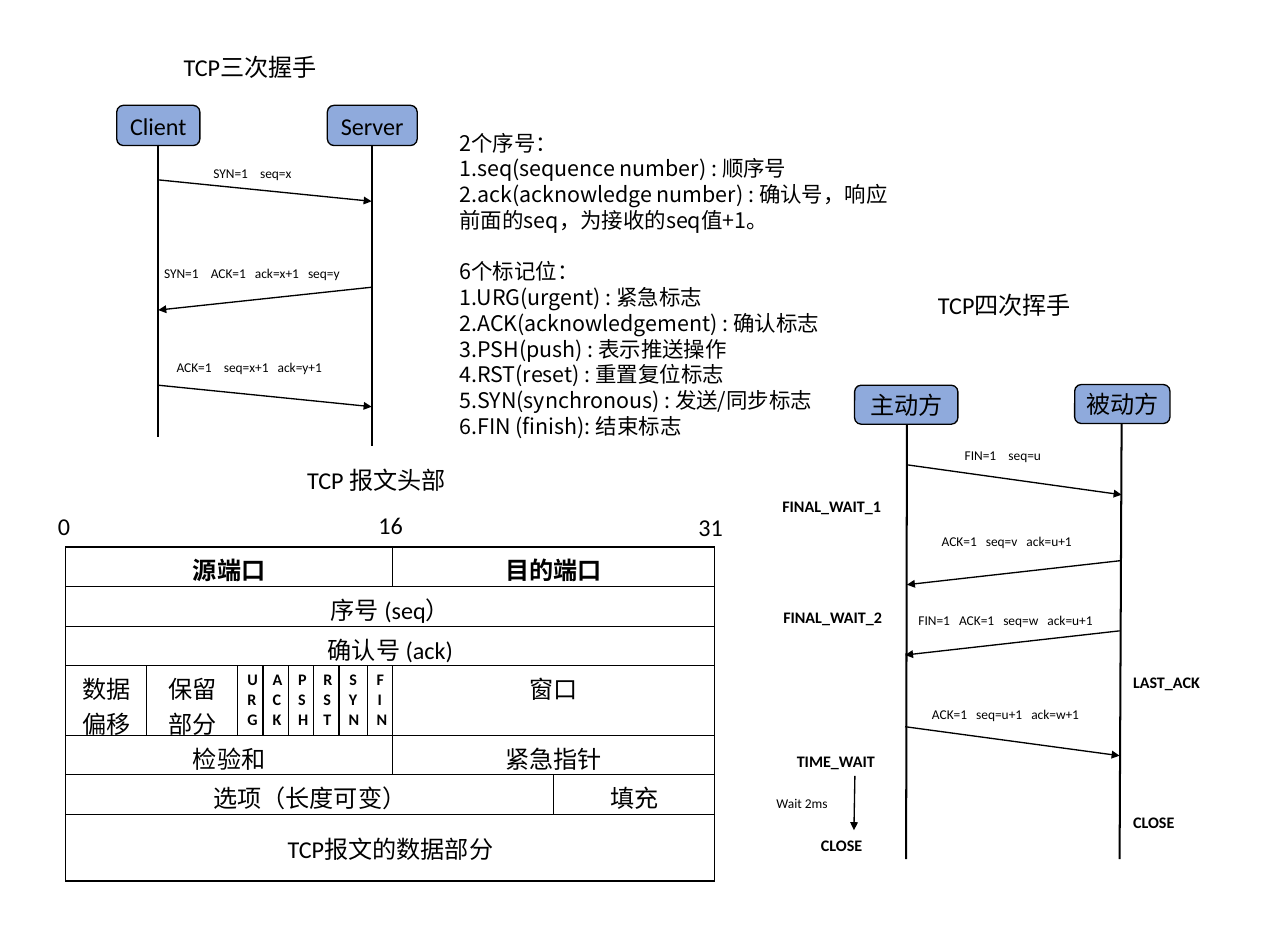
import dataclasses
import lxml.etree
import pptx
import pptx.dml.color
import pptx.enum.shapes
import pptx.enum.text
import pptx.oxml.ns
import pptx.util

Pt = pptx.util.Pt
ALIGN = pptx.enum.text.PP_ALIGN
ANCHOR = pptx.enum.text.MSO_ANCHOR
qn = pptx.oxml.ns.qn


@dataclasses.dataclass(frozen=True)
class Theme:
    ink: str = "000000"
    fill: str = "8FAADC"
    font: str = "Calibri"
    cjk: str = "Noto Sans CJK SC"
    head: int = 18
    body: int = 16
    state: int = 12
    label: int = 10
    thin: float = 1
    thick: float = 1.5


THEME = Theme()


def rgb(code):
    return pptx.dml.color.RGBColor.from_string(code)


def write(para, text, size=THEME.head, bold=False, font=THEME.font,
          align=ALIGN.LEFT, before=0, gap=0):
    """Add one formatted run; gap widens it by letter spacing."""
    para.alignment = align
    para.space_before = Pt(before)
    run = para.add_run()
    run.text = text
    run.font.name, run.font.size, run.font.bold = font, Pt(size), bold
    run.font.color.rgb = rgb(THEME.ink)
    props = run.font._element
    if gap:
        props.set("spc", str(round(gap * 100)))
    if font == THEME.cjk:
        props.find(qn("a:latin")).addnext(
            props.makeelement(qn("a:ea"), {"typeface": font}))


class Sheet:
    def __init__(self, deck, theme):
        self.theme = theme
        self.slide = deck.slides.add_slide(deck.slide_layouts[5])
        self.shapes = self.slide.shapes

    def title(self, text, x, y, w, h):
        box = self.shapes.title
        box.left, box.top, box.width, box.height = map(Pt, (x, y, w, h))
        box.text_frame.vertical_anchor = ANCHOR.TOP
        write(box.text_frame.paragraphs[0], text)

    def frame(self, x, y, w, h):
        frame = self.shapes.add_textbox(*map(Pt, (x, y, w, h))).text_frame
        frame.word_wrap = True
        frame.auto_size = pptx.enum.text.MSO_AUTO_SIZE.SHAPE_TO_FIT_TEXT
        return frame

    def text(self, text, x, y, w, h=29, **form):
        write(self.frame(x, y, w, h).paragraphs[0], text, **form)

    def message(self, text, x, y, w, gaps):
        """Write header fields with a wide space between them."""
        para = self.frame(x, y, w, 19.4).paragraphs[0]
        for i, field in enumerate(text.split()):
            if i:
                write(para, " ", size=self.theme.label, gap=gaps[min(i, 2) - 1])
            write(para, field, size=self.theme.label)

    def notes(self, groups, x, y, w, h):
        frame = self.frame(x, y, w, h)
        para = frame.paragraphs[0]
        for g, lines in enumerate(groups):
            for i, line in enumerate(lines):
                if g or i:
                    para = frame.add_paragraph()
                write(para, line, size=self.theme.body, font=self.theme.cjk,
                      before=19.2 if g and not i else 0)

    def actor(self, name, x, y, w, h):
        box = self.shapes.add_shape(
            pptx.enum.shapes.MSO_SHAPE.ROUNDED_RECTANGLE, *map(Pt, (x, y, w, h)))
        box.shadow.inherit = False
        box.fill.solid()
        box.fill.fore_color.rgb = rgb(self.theme.fill)
        box.line.color.rgb = rgb(self.theme.ink)
        box.line.width = Pt(self.theme.thin)
        box.text_frame.vertical_anchor = ANCHOR.MIDDLE
        write(box.text_frame.paragraphs[0], name, align=ALIGN.CENTER)

    def line(self, *ends, arrow=False):
        link = self.shapes.add_connector(
            pptx.enum.shapes.MSO_CONNECTOR.STRAIGHT, *map(Pt, ends))
        link.line.color.rgb = rgb(self.theme.ink)
        link.line.width = Pt(self.theme.thin if arrow else self.theme.thick)
        if arrow:
            lxml.etree.SubElement(link.line._get_or_add_ln(), qn("a:tailEnd"),
                                  type="triangle")
        lxml.etree.SubElement(link._element.spPr, qn("a:effectLst"))

    def border(self, cell):
        props = cell._tc.get_or_add_tcPr()
        for i, side in enumerate(("lnL", "lnR", "lnT", "lnB")):
            edge = props.makeelement(qn("a:" + side),
                                     {"w": str(Pt(self.theme.thin))})
            fill = lxml.etree.SubElement(edge, qn("a:solidFill"))
            lxml.etree.SubElement(fill, qn("a:srgbClr"), val=self.theme.ink)
            props.insert(i, edge)

    def table(self, rows, cols, highs, x, y):
        """Each row lists (text, span) pairs."""
        grid = self.shapes.add_table(
            len(highs), len(cols), *map(Pt, (x, y, sum(cols), sum(highs)))).table
        for col, wide in zip(grid.columns, cols):
            col.width = Pt(wide)
        for row, high in zip(grid.rows, highs):
            row.height = Pt(high)
        for cell in grid.iter_cells():
            cell.fill.background()
            self.border(cell)
        for r, row in enumerate(rows):
            c = 0
            for text, span in row:
                cell = grid.cell(r, c)
                if span > 1:
                    cell.merge(grid.cell(r, c + span - 1))
                flag = text in FLAGS
                if r == len(rows) - 1:
                    cell.vertical_anchor = ANCHOR.MIDDLE
                write(cell.text_frame.paragraphs[0], text, align=ALIGN.CENTER,
                      size=self.theme.state if flag else self.theme.head,
                      bold=flag or r == 0)
                c += span


FLAGS = ("URG", "ACK", "PSH", "RST", "SYN", "FIN")
FIELDS = [
    [("源端口", 8), ("目的端口", 2)],
    [("序号 (seq）", 10)],
    [("确认号 (ack)", 10)],
    [("数据偏移", 1), ("保留部分", 1), *((f, 1) for f in FLAGS), ("窗口", 2)],
    [("检验和", 8), ("紧急指针", 2)],
    [("选项（长度可变）", 9), ("填充", 1)],
    [("TCP报文的数据部分", 10)],
]
NOTES = [
    ["2个序号：", "1.seq(sequence number) : 顺序号",
     "2.ack(acknowledge number) : 确认号，响应前面的seq，为接收的seq值+1。"],
    ["6个标记位：", "1.URG(urgent) : 紧急标志", "2.ACK(acknowledgement) : 确认标志",
     "3.PSH(push) : 表示推送操作", "4.RST(reset) : 重置复位标志",
     "5.SYN(synchronous) : 发送/同步标志", "6.FIN (finish): 结束标志"],
]
WIDE, EVEN = (6.8, 4.5), (4.5, 4.5)


def main():
    deck = pptx.Presentation()
    deck.slide_width, deck.slide_height = Pt(960), Pt(708.5)
    sheet = Sheet(deck, THEME)

    # Headings
    sheet.title("TCP三次握手", 129.6, 35.3, 135.4, 29)
    sheet.text("TCP四次挥手", 692, 213, 135.4)
    sheet.text("TCP 报文头部", 221.8, 343.4, 137.5)

    # Actors and their lifelines
    for name, x, y, w, h in (("Client", 87, 78.5, 62, 30), ("Server", 244, 78.5, 67, 30),
                             ("主动方", 637, 287, 77, 29), ("被动方", 801, 286.5, 71, 29)):
        sheet.actor(name, x, y, w, h)
    for ends in ((118, 108, 118, 325.5), (277, 108, 277, 332.6),
                 (676, 316, 675.4, 640), (836, 316, 834.5, 640)):
        sheet.line(*ends)

    # Messages: arrow ends, then label place
    for text, ends, place, gaps in (
            ("SYN=1 seq=x", (118, 134, 277, 150), (152, 119.5, 88), WIDE),
            ("SYN=1 ACK=1 ack=x+1 seq=y", (277, 214, 118, 231), (115.2, 193.7, 176), WIDE),
            ("ACK=1 seq=x+1 ack=y+1", (118, 287, 277, 303), (124.5, 264.2, 157), WIDE),
            ("FIN=1 seq=u", (676, 346.3, 836, 368.6), (712, 329.8, 88), WIDE),
            ("ACK=1 seq=v ack=u+1", (836, 417.6, 676, 435.6), (694.8, 393.8, 133), EVEN),
            ("FIN=1 ACK=1 seq=w ack=u+1", (834.5, 470, 674.6, 488), (677.5, 452.2, 168.5), EVEN),
            ("ACK=1 seq=u+1 ack=w+1", (674.6, 541.4, 834.5, 563), (687.6, 522.7, 148.3), EVEN)):
        sheet.line(*ends, arrow=True)
        sheet.message(text, *place, gaps)

    # Closing states and the final wait
    for text, x, y in (("FINAL_WAIT_1", 576, 366.5), ("FINAL_WAIT_2", 576.7, 449.3),
                       ("TIME_WAIT", 586.8, 556.6), ("LAST_ACK", 837.4, 497.5),
                       ("CLOSE", 837.4, 602), ("CLOSE", 604.8, 618.5)):
        sheet.text(text, x, y, 101, 21.6, size=THEME.state, bold=True)
    sheet.line(637.2, 578, 636.5, 618.5, arrow=True)
    sheet.text("Wait 2ms", 571.7, 589, 61, 19.4, size=THEME.label)

    # Segment header with its bit marks
    cols = [60.5, 67.7, *[18.9] * 4, 20.9, 18.9, 120.2, 120.2]
    sheet.table(FIELDS, cols, [29.5, 29.5, 29.5, 51.8, 29.5, 29.5, 49.7], 49, 407.5)
    for bit, x, y, w in (("0", 36, 377.3, 23), ("16", 275, 376.6, 36), ("31", 513.4, 378, 36)):
        sheet.text(bit, x, y, w)

    # Notes on numbers and flags
    sheet.notes(NOTES, 335.5, 93, 335.5, 283.7)

    deck.save("out.pptx")


if __name__ == "__main__":
    main()
